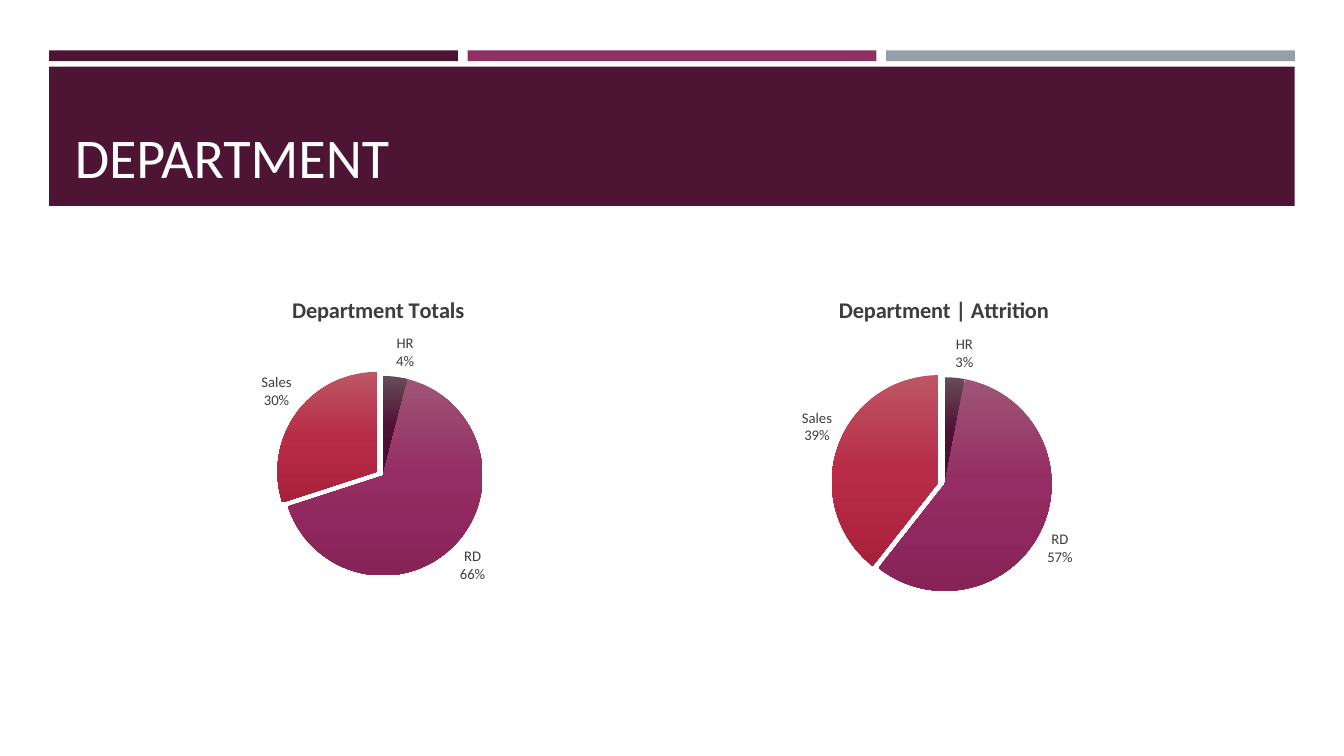
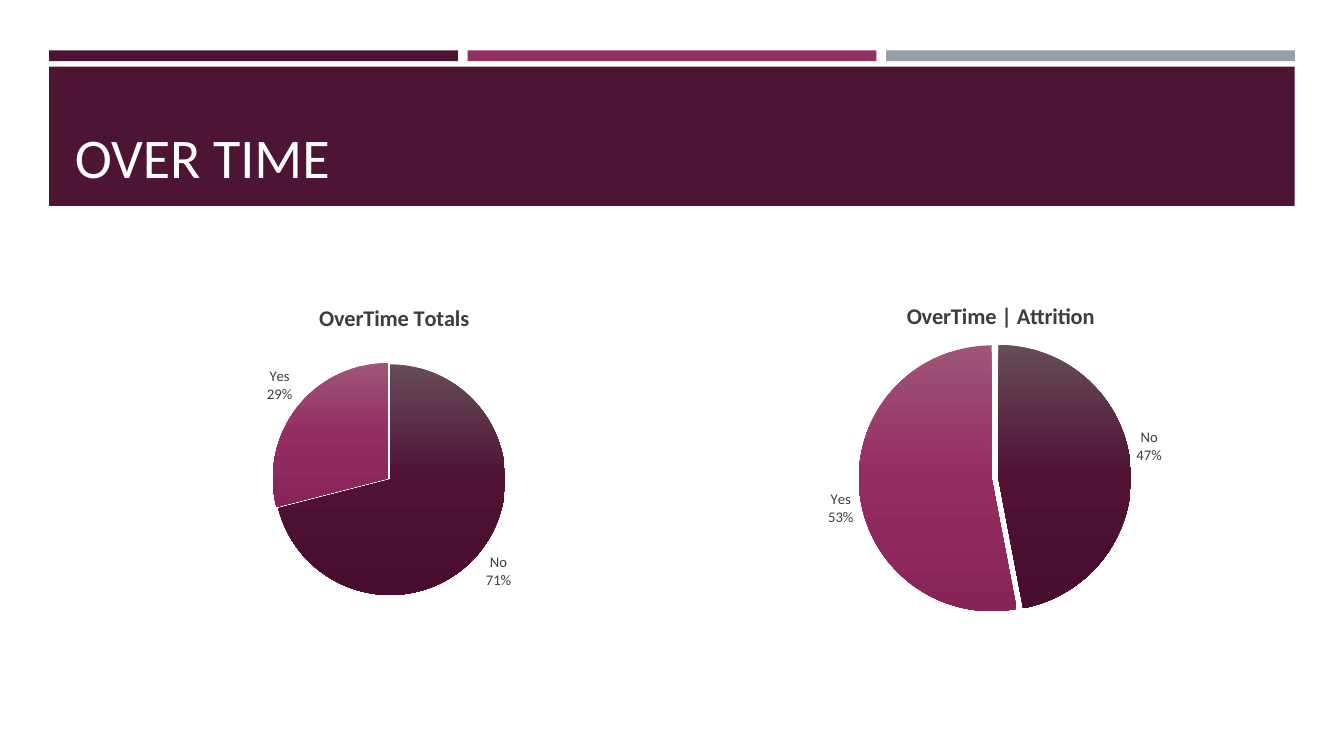
import pptx
import pptx.chart.data
import pptx.dml.color
import pptx.enum.chart
import pptx.enum.shapes
import pptx.enum.text
import pptx.oxml
import pptx.oxml.ns
import pptx.util

Cm, Pt = pptx.util.Cm, pptx.util.Pt
RGB = pptx.dml.color.RGBColor
qn = pptx.oxml.ns.qn

FONT = "Calibri"
PLUM = RGB(0x4D, 0x14, 0x34)
BERRY = RGB(0x90, 0x31, 0x63)
STEEL = RGB(0x96, 0x9F, 0xA7)
WHITE = RGB(0xFF, 0xFF, 0xFF)
BLACK = RGB(0, 0, 0)
GREY = RGB(0x3D, 0x3D, 0x3D)
# Top, middle and bottom colour of each slice
GRADS = [
    (RGB(0x67, 0x4C, 0x58), RGB(0x50, 0x11, 0x34), RGB(0x49, 0x0D, 0x2F)),
    (RGB(0x9E, 0x55, 0x77), RGB(0x95, 0x2C, 0x63), RGB(0x88, 0x23, 0x58)),
    (RGB(0xBD, 0x56, 0x64), RGB(0xB8, 0x2C, 0x47), RGB(0xAA, 0x21, 0x3C)),
]

# Lengths in cm: box is left, top, width, height; head is the left and top of
# the chart title; pie is centre x, centre y, radius; burst is the percentage
# by which the last slice is pulled out.
SLIDES = [
    ("DEPARTMENT", ["HR", "RD", "Sales"], [
        dict(title="Department Totals", vals=[4, 66, 30], burst=7,
             box=(2.54, 6.86, 13.92, 8.48), head=(7.26, 7.34),
             pie=(9.65, 11.99, 2.35)),
        dict(title="Department | Attrition", vals=[3, 57, 39], burst=6,
             box=(16.46, 6.86, 14.45, 8.48), head=(21.04, 7.34),
             pie=(23.81, 12.2, 2.54)),
    ]),
    ("OVER TIME", ["No", "Yes"], [
        dict(title="OverTime Totals", vals=[71, 29], burst=2,
             box=(2.21, 7.06, 15.24, 8.71), head=(7.94, 7.54),
             pie=(9.83, 12.09, 2.85)),
        dict(title="OverTime | Attrition", vals=[47, 53], burst=5,
             box=(18.01, 7.06, 14.25, 8.71), head=(22.75, 7.49),
             pie=(25.16, 12.04, 3.19)),
    ]),
]

LEFT, WIDE, GAP = 1.24, 31.39, 0.25
BAR = (WIDE - 2 * GAP) / 3
BANDS = [(LEFT + i * (BAR + GAP), 1.27, BAR, 0.27, hue)
         for i, hue in enumerate((PLUM, BERRY, STEEL))]
BANDS.append((LEFT, 1.68, WIDE, 3.51, PLUM))


def style(font, size, color, bold=False):
    font.name, font.size, font.bold = FONT, Pt(size), bold
    font.color.rgb = color


def node(tag, text="", **attrs):
    """Make a chart or drawing XML element from its prefixed tag."""
    item = pptx.oxml.parse_xml(
        f'<{tag} {pptx.oxml.ns.nsdecls("c", "a")}>{text}</{tag}>')
    for key, val in attrs.items():
        item.set(key, str(val))
    return item


def layout_node(box, x, y, side=None):
    """Place a chart part by its distance from the slide's top left."""
    left, top, wide, high = box
    spots = {"x": (x - left) / wide, "y": (y - top) / high}
    modes = ["xMode", "yMode"]
    inner = ""
    if side:
        spots.update(w=side / wide, h=side / high)
        inner = '<c:layoutTarget val="inner"/>'
    inner += "".join(f'<c:{m} val="edge"/>' for m in modes)
    inner += "".join(f'<c:{k} val="{v:.4f}"/>' for k, v in spots.items())
    return node("c:layout", f"<c:manualLayout>{inner}</c:manualLayout>")


def drop_layout(parent):
    for old in parent.findall(qn("c:layout")):
        parent.remove(old)


def paint(point, grad):
    """Fill a slice with three colours from top to bottom."""
    point.format.line.fill.background()
    fill = point.format.fill
    fill.gradient()
    fill.gradient_angle = 270
    stops = fill.gradient_stops[0]._gs.getparent()
    for old in list(stops):
        stops.remove(old)
    for pos, color in zip((0, 50000, 100000), grad):
        stops.append(node("a:gs", f'<a:srgbClr val="{color}"/>', pos=pos))


def add_pie(slide, cats, spec):
    box = spec["box"]
    data = pptx.chart.data.CategoryChartData()
    data.categories = cats
    data.add_series("Series 1", spec["vals"])
    chart = slide.shapes.add_chart(
        pptx.enum.chart.XL_CHART_TYPE.PIE, *map(Cm, box), data).chart
    style(chart.font, 10, BLACK)
    chart.has_legend = False

    chart.has_title = True
    title = chart.chart_title
    title.text_frame.text = spec["title"]
    style(title.text_frame.paragraphs[0].font, 16, GREY, True)
    head = title._element
    drop_layout(head)
    head.find(qn("c:tx")).addnext(layout_node(box, *spec["head"]))

    x, y, radius = spec["pie"]
    reach = radius * (1 + spec["burst"] / 100)
    area = chart._chartSpace.find(".//" + qn("c:plotArea"))
    drop_layout(area)
    area.insert(0, layout_node(box, x - reach, y - reach, 2 * reach))

    plot = chart.plots[0]
    plot.vary_by_categories = True
    series = plot.series[0]
    for i, grad in enumerate(GRADS[:len(cats)]):
        paint(series.points[i], grad)
    last = series._element.get_or_add_dPt_for_point(len(cats) - 1)
    last.find(qn("c:spPr")).addprevious(
        node("c:explosion", val=spec["burst"]))

    labels = series.data_labels
    labels.show_value = labels.show_category_name = True
    labels.number_format = '0"%"'
    labels.number_format_is_linked = False
    labels.position = pptx.enum.chart.XL_LABEL_POSITION.OUTSIDE_END
    style(labels.font, 10.5, GREY)
    labels._element.find(qn("c:showBubbleSize")).addnext(
        node("c:separator", "\n"))


def set_layout(layout, slide):
    """Put the bands and the title's place on the layout."""
    for i, (left, top, wide, high, hue) in enumerate(BANDS):
        band = slide.shapes.add_shape(
            pptx.enum.shapes.MSO_SHAPE.RECTANGLE,
            Cm(left), Cm(top), Cm(wide), Cm(high))
        band.name = f"Band {i + 1}"
        band.shadow.inherit = False
        band.fill.solid()
        band.fill.fore_color.rgb = hue
        band.line.fill.background()
        layout.shapes._spTree.insert(2 + i, band._element)
    title = layout.placeholders[0]
    title.left, title.top = Cm(1.63), Cm(2.03)
    title.width, title.height = Cm(30.63), Cm(2.74)
    frame = title.text_frame
    frame.vertical_anchor = pptx.enum.text.MSO_ANCHOR.BOTTOM
    frame.auto_size = pptx.enum.text.MSO_AUTO_SIZE.NONE
    frame.margin_bottom = 0


def main():
    deck = pptx.Presentation()
    deck.slide_width, deck.slide_height = Cm(33.87), Cm(19.05)
    layout = deck.slide_layouts[5]
    for i, (name, cats, pies) in enumerate(SLIDES):
        slide = deck.slides.add_slide(layout)
        if i == 0:
            set_layout(layout, slide)
        title = slide.shapes.title
        title.text_frame.text = name
        para = title.text_frame.paragraphs[0]
        para.alignment = pptx.enum.text.PP_ALIGN.LEFT
        style(para.font, 40, WHITE)
        for spec in pies:
            add_pie(slide, cats, spec)
    deck.save("out.pptx")


if __name__ == "__main__":
    main()
